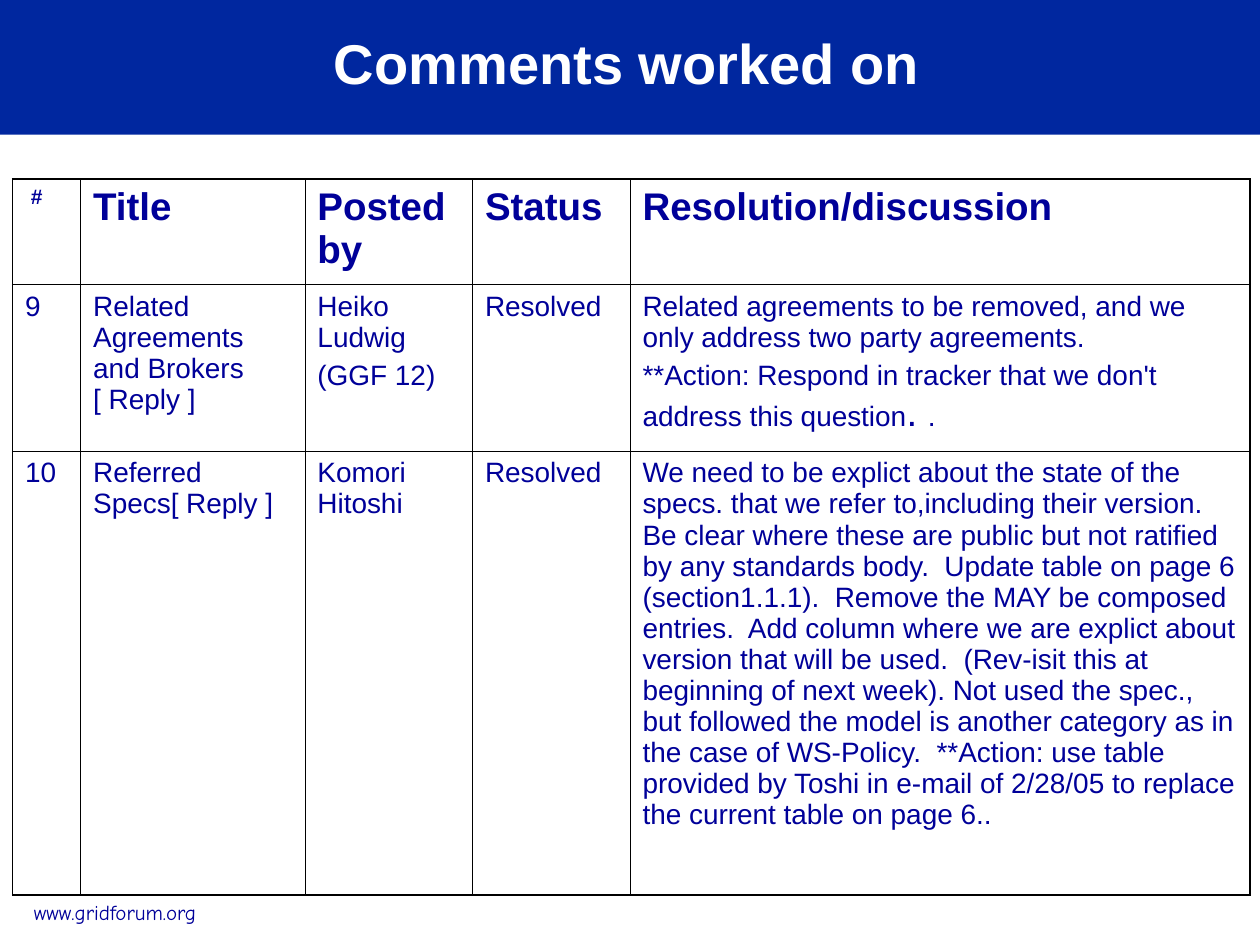
from dataclasses import dataclass

from lxml.etree import SubElement
from pptx import Presentation
from pptx.dml.color import RGBColor
from pptx.enum.shapes import MSO_SHAPE
from pptx.enum.text import MSO_ANCHOR, MSO_AUTO_SIZE, PP_ALIGN
from pptx.oxml.ns import qn
from pptx.util import Inches, Pt

COLORS = {"band": "00279F", "text": "000099", "white": "FFFFFF", "border": "000000"}
WIDTH, HEIGHT = Inches(10), Inches(7.5)
THIN, THICK = Pt(0.45), Pt(1.08)
COLUMNS = [0.54, 1.78, 1.33, 1.25, 4.92]
ROWS = [0.84, 1.32, 3.52]


@dataclass
class Run:
    text: str
    size: float = 16
    bold: bool = False


@dataclass
class Comment:
    number: str
    title: str
    posted_by: list
    status: str
    resolution: list

    def cells(self) -> list:
        return [
            [[Run(self.number)]],
            [[Run(self.title)]],
            [[Run(line)] for line in self.posted_by],
            [[Run(self.status)]],
            self.resolution,
        ]


HEADER = [[[Run(" #", 12, True)]]] + [
    [[Run(label, 22, True)]]
    for label in ("Title", "Posted by", "Status", "Resolution/discussion")
]

COMMENTS = [
    Comment(
        "9",
        "Related Agreements and Brokers [ Reply ]",
        ["Heiko Ludwig", "(GGF 12)"],
        "Resolved",
        [
            [Run("Related agreements to be removed, and we only address two party agreements.")],
            [
                Run("**Action: Respond in tracker that we don't address this question"),
                Run(". ", 22),
                Run("."),
            ],
        ],
    ),
    Comment(
        "10",
        "Referred Specs[ Reply ]",
        ["Komori Hitoshi"],
        "Resolved",
        [[Run(
            "We need to be explict about the state of the specs. that we refer to,"
            "including their version.  Be clear where these are public but not ratified "
            "by any standards body.  Update table on page 6 (section1.1.1).  Remove the "
            "MAY be composed entries.  Add column where we are explict about version that "
            "will be used.  (Rev-isit this at beginning of next week). Not used the spec., "
            "but followed the model is another category as in the case of WS-Policy.  "
            "**Action: use table provided by Toshi in e-mail of 2/28/05 to replace the "
            "current table on page 6.."
        )]],
    ),
]


def rgb(name: str) -> RGBColor:
    return RGBColor.from_string(COLORS[name])


def style_run(r, size: float, color: str, bold: bool = False, font: str = "Arial") -> None:
    r.font.name = font
    r.font.size = Pt(size)
    r.font.bold = bold
    r.font.color.rgb = rgb(color)


def set_borders(cell, row: int, col: int) -> None:
    outer = {
        "a:lnL": col == 0,
        "a:lnR": col == len(COLUMNS) - 1,
        "a:lnT": row == 0,
        "a:lnB": row == len(ROWS) - 1,
    }
    props = cell._tc.get_or_add_tcPr()
    for tag, is_outer in outer.items():
        line = SubElement(props, qn(tag), w=str(int(THICK if is_outer else THIN)))
        fill = SubElement(line, qn("a:solidFill"))
        SubElement(fill, qn("a:srgbClr"), val=COLORS["border"])


def fill_cell(cell, paragraphs: list) -> None:
    tf = cell.text_frame
    for i, runs in enumerate(paragraphs):
        p = tf.add_paragraph() if i else tf.paragraphs[0]
        p.space_before = Pt(4 if i else 0)
        for run in runs:
            r = p.add_run()
            r.text = run.text
            style_run(r, run.size, "text", run.bold)


def add_header_band(s) -> None:
    band = s.shapes.add_shape(MSO_SHAPE.RECTANGLE, 0, 0, WIDTH, Inches(1.07))
    band.shadow.inherit = False
    band.fill.solid()
    band.fill.fore_color.rgb = rgb("band")
    band.line.fill.background()
    s.shapes._spTree.insert(2, band._element)


def set_title(s, text: str) -> None:
    sp = s.shapes.title
    sp.left, sp.top, sp.width, sp.height = 0, Inches(-0.02), Inches(9.95), Inches(1.02)
    sp.fill.solid()
    sp.fill.fore_color.rgb = rgb("band")
    tf = sp.text_frame
    tf.text = text
    tf.auto_size = MSO_AUTO_SIZE.NONE
    tf.vertical_anchor = MSO_ANCHOR.MIDDLE
    p = tf.paragraphs[0]
    p.alignment = PP_ALIGN.CENTER
    style_run(p.runs[0], 32, "white", True)


def add_comment_table(s) -> None:
    frame = s.shapes.add_table(
        len(ROWS), len(COLUMNS), Inches(0.1), Inches(1.42),
        Inches(sum(COLUMNS)), Inches(sum(ROWS)),
    )
    table = frame.table
    table.first_row = table.horz_banding = False
    for column, width in zip(table.columns, COLUMNS):
        column.width = Inches(width)
    for row, height in zip(table.rows, ROWS):
        row.height = Inches(height)
    contents = [HEADER] + [comment.cells() for comment in COMMENTS]
    for i, row in enumerate(contents):
        for j, paragraphs in enumerate(row):
            cell = table.cell(i, j)
            set_borders(cell, i, j)
            cell.fill.solid()
            cell.fill.fore_color.rgb = rgb("white")
            fill_cell(cell, paragraphs)


def add_footer(s, text: str) -> None:
    sp = s.shapes.add_textbox(Inches(0.17), Inches(7.09), Inches(1.49), Inches(0.3))
    tf = sp.text_frame
    tf.text = text
    tf.word_wrap = False
    tf.auto_size = MSO_AUTO_SIZE.SHAPE_TO_FIT_TEXT
    style_run(tf.paragraphs[0].runs[0], 12, "text", font="Comic Neue")


def main() -> None:
    prs = Presentation()
    prs.slide_width, prs.slide_height = WIDTH, HEIGHT
    s = prs.slides.add_slide(prs.slide_layouts.get_by_name("Title Only"))
    add_header_band(s)
    set_title(s, "Comments worked on")
    add_footer(s, "www.gridforum.org")
    add_comment_table(s)
    prs.save("out.pptx")


if __name__ == "__main__":
    main()
